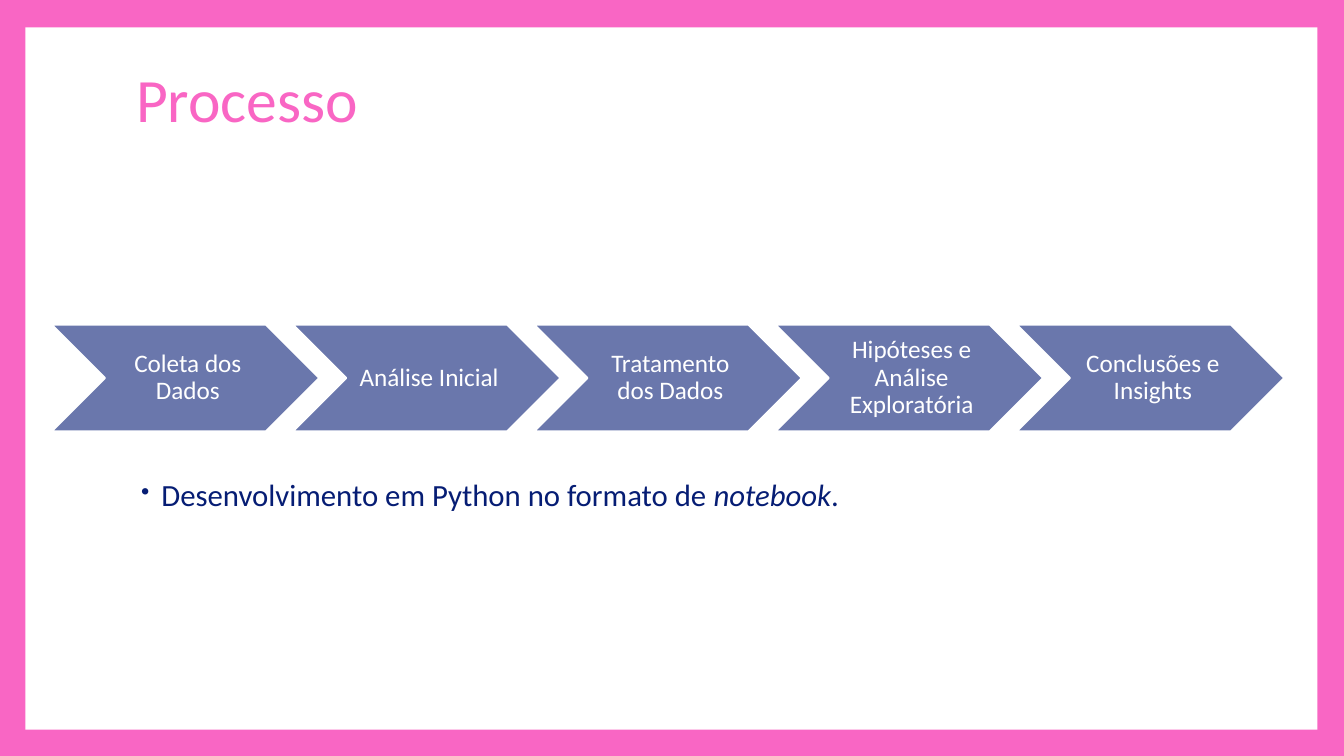
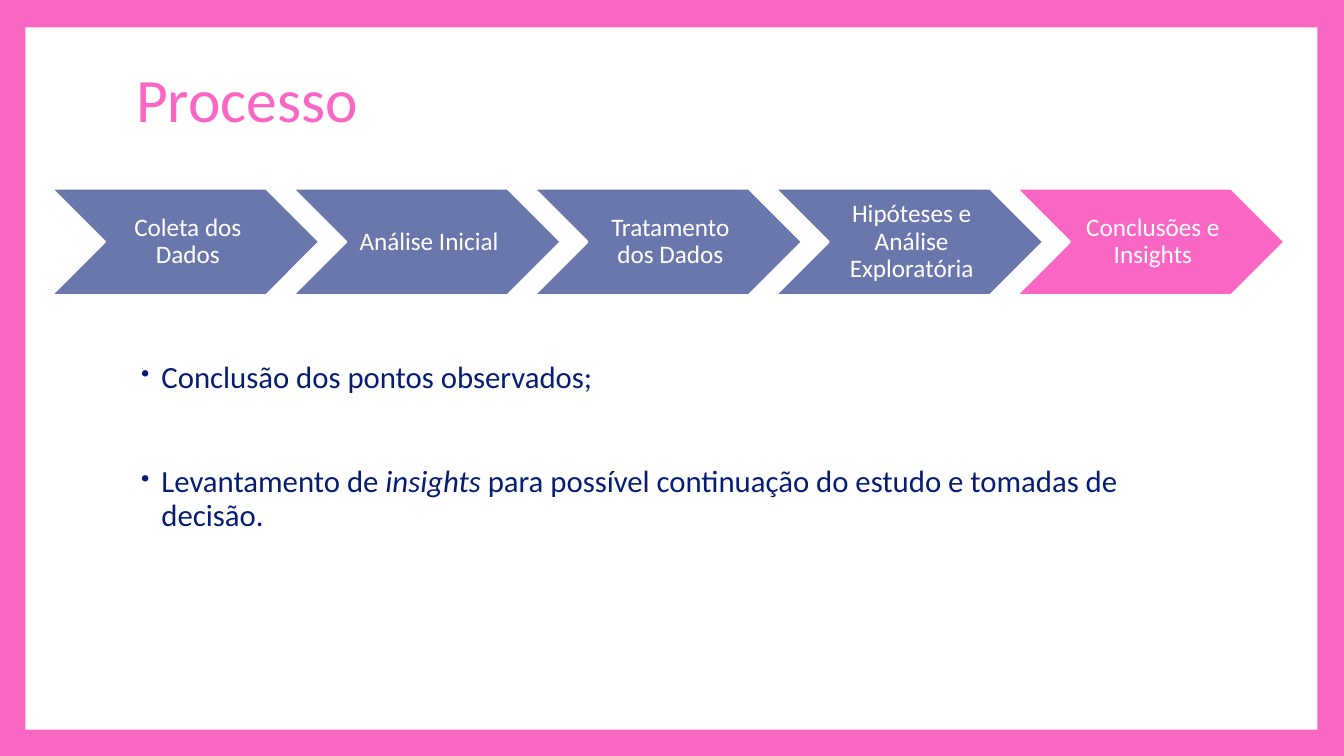
from dataclasses import dataclass

from pptx import Presentation
from pptx.dml.color import RGBColor as Rgb
from pptx.enum.shapes import MSO_SHAPE as Kind
from pptx.enum.text import MSO_ANCHOR as Anchor, PP_ALIGN as Align
from pptx.oxml.ns import qn
from pptx.shapes.autoshape import Shape
from pptx.slide import Slide
from pptx.text.text import TextFrame as Frame
from pptx.util import Cm, Pt
from lxml.etree import SubElement as add_node

PINK = Rgb(0xF9, 0x66, 0xC4)
BLUE = Rgb(0x6A, 0x77, 0xAC)
NAVY = Rgb(0x06, 0x1D, 0x74)
WHITE = Rgb(0xFF, 0xFF, 0xFF)
FONT = "Calibri"
LEFT, WIDTH = 3.18, 27.43
STEPS = (
    "Coleta dos Dados",
    "Análise Inicial",
    "Tratamento dos Dados",
    "Hipóteses e Análise Exploratória",
    "Conclusões e Insights",
)
STEP_LEFT, STEP_PITCH, STEP_WIDTH, STEP_HEIGHT = 1.3, 6.08, 6.75, 2.69


@dataclass(frozen=True)
class Box:
    left: float
    top: float
    width: float
    height: float

    def place(self) -> tuple[Cm, Cm, Cm, Cm]:
        return Cm(self.left), Cm(self.top), Cm(self.width), Cm(self.height)


@dataclass(frozen=True)
class Page:
    title: str
    steps_top: float
    body: Box
    points: tuple[str, ...]
    active: int | None = None


PANEL = Box(0.64, 0.69, 32.56, 17.7)
TITLE = Box(LEFT, 0.71, WIDTH, 3.76)
PAGES = (
    Page("Processo", 8.18, Box(LEFT, 11.96, WIDTH, 4.98),
         ("Desenvolvimento em Python no formato de *notebook*.",)),
    Page("Processo", 4.75, Box(LEFT, 8.99, WIDTH, 7.95),
         ("Conclusão dos pontos observados;",
          "Levantamento de *insights* para possível continuação do estudo "
          "e tomadas de decisão."),
         active=len(STEPS) - 1),
)


def add_bullet(props) -> None:
    props.set("marL", str(Cm(0.64)))
    props.set("indent", str(Cm(-0.51)))
    tint = add_node(props, qn("a:buClr"))
    add_node(tint, qn("a:srgbClr"), val=str(NAVY))
    add_node(props, qn("a:buSzPct"), val="80000")
    add_node(props, qn("a:buChar"), char="•")


def write(frame: Frame, *lines: str, size: float, color: Rgb,
          align: Align = Align.LEFT, anchor: Anchor = Anchor.MIDDLE,
          gap: float = 0, bullet: bool = False) -> None:
    frame.word_wrap = True
    frame.vertical_anchor = anchor
    for at, line in enumerate(lines):
        para = frame.add_paragraph() if at else frame.paragraphs[0]
        para.alignment = align
        para.line_spacing = 0.9
        para.space_before = Pt(gap if at else 0)
        if bullet:
            add_bullet(para._p.get_or_add_pPr())
        for part, text in enumerate(line.split("*")):
            run = para.add_run()
            run.text = text
            run.font.name = FONT
            run.font.size = Pt(size)
            run.font.color.rgb = color
            run.font.italic = part % 2 == 1


def add_block(slide: Slide, kind: Kind, box: Box, fill: Rgb) -> Shape:
    shape = slide.shapes.add_shape(kind, *box.place())
    shape.shadow.inherit = False
    shape.fill.solid()
    shape.fill.fore_color.rgb = fill
    shape.line.color.rgb = WHITE
    shape.line.width = Pt(1.5)
    return shape


def add_steps(slide: Slide, top: float, active: int | None) -> None:
    for at, label in enumerate(STEPS):
        box = Box(STEP_LEFT + at * STEP_PITCH, top, STEP_WIDTH, STEP_HEIGHT)
        step = add_block(slide, Kind.CHEVRON, box, PINK if at == active else BLUE)
        frame = step.text_frame
        frame.margin_left = Cm(0.2)
        frame.margin_top = frame.margin_right = frame.margin_bottom = Cm(0.08)
        write(frame, label, size=18, color=WHITE, align=Align.CENTER)


def add_text(slide: Slide, box: Box) -> Frame:
    return slide.shapes.add_textbox(*box.place()).text_frame


def add_page(deck, page: Page) -> None:
    slide = deck.slides.add_slide(deck.slide_layouts[6])
    panel = add_block(slide, Kind.RECTANGLE, PANEL, WHITE)
    panel.line.fill.background()
    write(add_text(slide, TITLE), page.title, size=44, color=PINK)
    add_steps(slide, page.steps_top, page.active)
    write(add_text(slide, page.body), *page.points, size=22, color=NAVY,
          anchor=Anchor.TOP, gap=51, bullet=True)


def main() -> None:
    deck = Presentation()
    deck.slide_width, deck.slide_height = Cm(33.87), Cm(19.05)
    back = deck.slide_master.background.fill
    back.solid()
    back.fore_color.rgb = PINK
    for page in PAGES:
        add_page(deck, page)
    deck.save("out.pptx")


if __name__ == "__main__":
    main()
